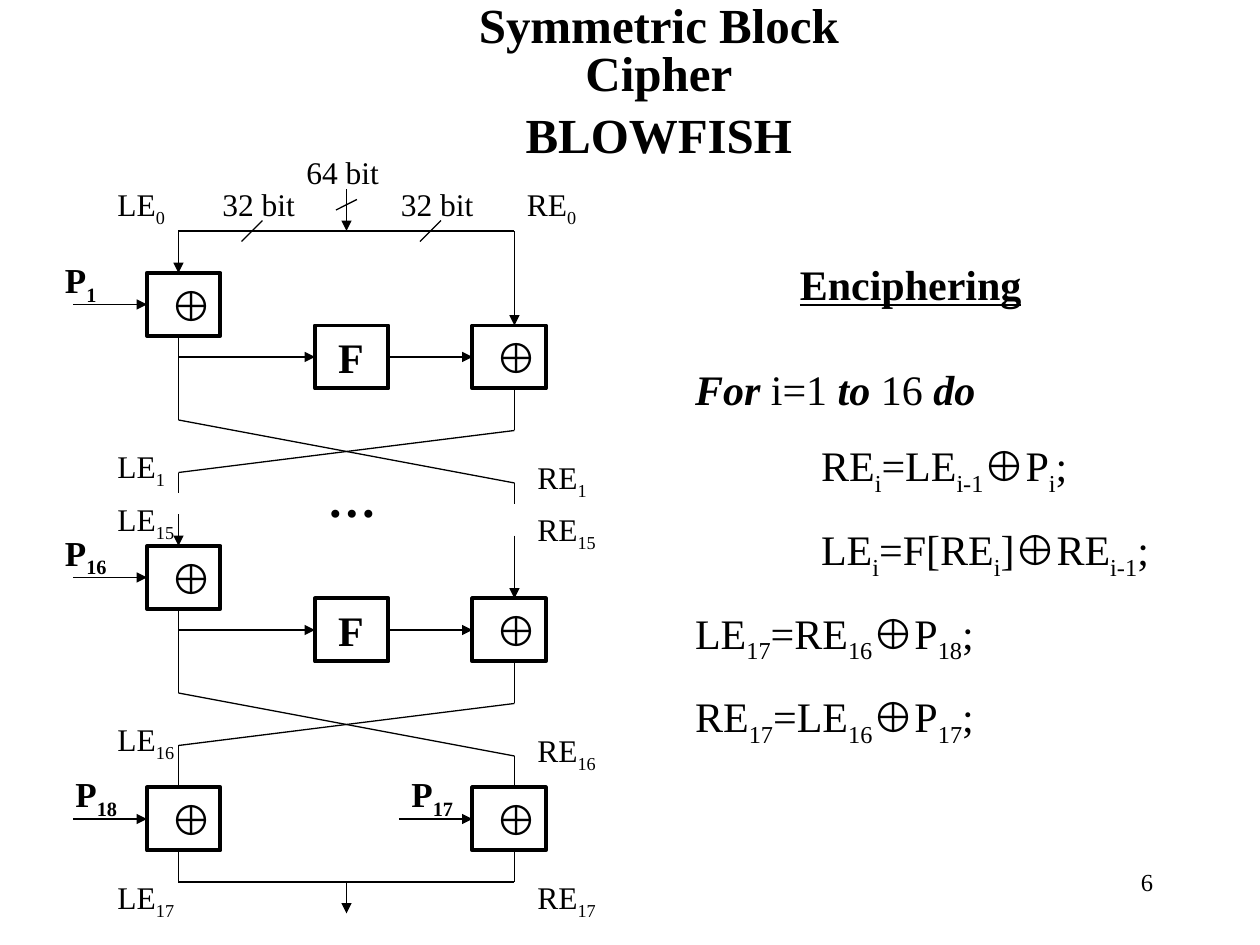
from dataclasses import dataclass
from itertools import groupby

from lxml.etree import SubElement
from pptx import Presentation
from pptx.dml.color import RGBColor
from pptx.enum.shapes import MSO_CONNECTOR, MSO_SHAPE
from pptx.enum.text import MSO_ANCHOR, MSO_AUTO_SIZE, PP_ALIGN
from pptx.oxml.ns import qn
from pptx.util import Pt


@dataclass(frozen=True)
class Theme:
    ink: RGBColor = RGBColor(0, 0, 0)
    font: str = "Times New Roman"
    symbol_font: str = "Arial"
    title: int = 28
    body: int = 24
    key: int = 20
    label: int = 18
    number: int = 14
    box_line: float = 2.25
    wire: float = 0.75


THEME = Theme()
TOP, LEFT, BOTTOM, RIGHT = range(4)
XOR = "⊕"

# Diagram grid, in points
BOX_W, BOX_H = 42, 36
LEFT_BOX, F_BOX, RIGHT_BOX = 84, 180, 270
LEFT_RAIL, MIDDLE, RIGHT_RAIL = 102, 198, 294
INPUT_Y, OUTPUT_Y, FINAL_TOP = 132, 504, 450


def add_run(paragraph, text, size, bold=False, italic=False, subscript=False):
    run = paragraph.add_run()
    run.text = text
    font = run.font
    font.name = THEME.symbol_font if text == XOR else THEME.font
    font.size, font.bold, font.italic = Pt(size), bold, italic
    font.color.rgb = THEME.ink
    if subscript:
        run._r.get_or_add_rPr().set("baseline", "-25000")
    return run


def add_formula(paragraph, markup, size, bold=False):
    """Every second part between bars is a subscript."""
    for index, part in enumerate(markup.split("|")):
        for _, chars in groupby(part, key=lambda char: char == XOR):
            add_run(paragraph, "".join(chars), size, bold, subscript=index % 2 == 1)


def add_label(slide, markup, left, top, width, height, size, bold=False):
    frame = slide.shapes.add_textbox(Pt(left), Pt(top), Pt(width), Pt(height)).text_frame
    frame.word_wrap = True
    add_formula(frame.paragraphs[0], markup, size, bold)
    return frame.paragraphs[0]


def add_box(slide, symbol, left, top):
    box = slide.shapes.add_shape(
        MSO_SHAPE.RECTANGLE, Pt(left), Pt(top), Pt(BOX_W), Pt(BOX_H))
    box.shadow.inherit = False
    box.fill.background()
    box.line.color.rgb = THEME.ink
    box.line.width = Pt(THEME.box_line)
    frame = box.text_frame
    frame.word_wrap = False
    frame.vertical_anchor = MSO_ANCHOR.TOP
    frame.margin_left, frame.margin_right = Pt(13.2), Pt(0)
    frame.paragraphs[0].alignment = PP_ALIGN.LEFT
    add_run(frame.paragraphs[0], symbol, THEME.body, bold=True)
    return box


def add_wire(slide, x1, y1, x2, y2, arrow=False, source=None, target=None):
    wire = slide.shapes.add_connector(
        MSO_CONNECTOR.STRAIGHT, Pt(x1), Pt(y1), Pt(x2), Pt(y2))
    wire.line.color.rgb = THEME.ink
    wire.line.width = Pt(THEME.wire)
    if arrow:
        SubElement(wire.line._get_or_add_ln(), qn("a:tailEnd"), type="triangle")
    SubElement(wire._element.spPr, qn("a:effectLst"))
    if source is not None:
        wire.begin_connect(source, RIGHT)
    if target is not None:
        wire.end_connect(target, LEFT)


def add_keyed_xor(slide, left, top):
    """XOR box with the subkey arrow entering from its left."""
    box = add_box(slide, XOR, left, top)
    y = top + BOX_H / 2
    add_wire(slide, left - BOX_W, y, left, y, arrow=True, target=box)


def add_round(slide, top, feed_left, feed_right, exit_left, exit_right):
    f_top = top + 30
    f_y, swap_y = f_top + BOX_H / 2, top + 84
    add_keyed_xor(slide, LEFT_BOX, top)
    f_box = add_box(slide, "F", F_BOX, f_top)
    right_xor = add_box(slide, XOR, RIGHT_BOX, f_top)
    # Inputs and the F path
    add_wire(slide, LEFT_RAIL, feed_left, LEFT_RAIL, top, arrow=True)
    add_wire(slide, RIGHT_RAIL, feed_right, RIGHT_RAIL, f_top, arrow=True)
    add_wire(slide, LEFT_RAIL, f_y, F_BOX, f_y, arrow=True, target=f_box)
    add_wire(slide, F_BOX + BOX_W, f_y, RIGHT_BOX, f_y, arrow=True,
             source=f_box, target=right_xor)
    # Swap of the halves
    add_wire(slide, LEFT_RAIL, top + BOX_H, LEFT_RAIL, swap_y)
    add_wire(slide, LEFT_RAIL, swap_y, RIGHT_RAIL, swap_y + 36)
    add_wire(slide, RIGHT_RAIL, swap_y + 36, RIGHT_RAIL, exit_right)
    add_wire(slide, RIGHT_RAIL, f_top + BOX_H, RIGHT_RAIL, swap_y + 6)
    add_wire(slide, RIGHT_RAIL, swap_y + 6, LEFT_RAIL, swap_y + 30)
    add_wire(slide, LEFT_RAIL, swap_y + 30, LEFT_RAIL, exit_left)


def add_diagram(slide):
    # Input split into two halves
    add_wire(slide, LEFT_RAIL, INPUT_Y, RIGHT_RAIL, INPUT_Y)
    add_wire(slide, MIDDLE, INPUT_Y - 24, MIDDLE, INPUT_Y, arrow=True)
    for x, y, rise in ((138, 138, 12), (240, 138, 12), (192, 120, 6)):
        add_wire(slide, x + 12, y - rise, x, y)
    # First and last round
    add_round(slide, 156, INPUT_Y, INPUT_Y, 282, 288)
    add_round(slide, 312, 294, 306, FINAL_TOP, FINAL_TOP)
    # Final whitening and output
    for left, rail in ((LEFT_BOX, LEFT_RAIL), (RIGHT_BOX, RIGHT_RAIL)):
        add_keyed_xor(slide, left, FINAL_TOP)
        add_wire(slide, rail, FINAL_TOP + BOX_H, rail, OUTPUT_Y)
    add_wire(slide, LEFT_RAIL, OUTPUT_Y, RIGHT_RAIL, OUTPUT_Y)
    add_wire(slide, MIDDLE, OUTPUT_Y, MIDDLE, OUTPUT_Y + 18, arrow=True)


def add_diagram_labels(slide):
    for markup, left, top, width in (
            ("LE|0", 60, 102, 48), ("RE|0", 294, 102, 48),
            ("LE|1", 60, 252, 48), ("RE|1", 300, 258, 48),
            ("LE|15", 60, 282, 54), ("RE|15", 300, 288, 66),
            ("LE|16", 60, 408, 60), ("RE|16", 300, 414, 60),
            ("LE|17", 60, 498, 60), ("RE|17", 300, 498, 60)):
        add_label(slide, markup, left, top, width, 31.7, THEME.label)
    for bits, left, top in (("64 bit", 168, 84), ("32 bit", 120, 102), ("32 bit", 222, 102)):
        add_label(slide, bits, left, top, 90, 28.8, THEME.label)
    for markup, left, top, width in (
            ("P|1", 30, 144, 36), ("P|16", 30, 300, 48),
            ("P|18", 36, 438, 48), ("P|17", 228, 438, 48)):
        add_label(slide, markup, left, top, width, 34.6, THEME.key, bold=True)
    add_label(slide, "…", 180, 264, 72, 41, THEME.title, bold=True)


def place(placeholder, left, top, width, height):
    placeholder.left, placeholder.top = Pt(left), Pt(top)
    placeholder.width, placeholder.height = Pt(width), Pt(height)
    frame = placeholder.text_frame
    frame.vertical_anchor = MSO_ANCHOR.TOP
    frame.auto_size = MSO_AUTO_SIZE.NONE
    return frame


def next_paragraph(frame, index, space_before):
    paragraph = frame.add_paragraph() if index else frame.paragraphs[0]
    paragraph.space_before = Pt(space_before if index else 0)
    return paragraph


def fill_title(title):
    frame = place(title, 221, 0, 311, 70)
    frame.word_wrap = False
    for index, line in enumerate(("Symmetric Block Cipher", "BLOWFISH")):
        paragraph = next_paragraph(frame, index, 8.8)
        paragraph.alignment = PP_ALIGN.CENTER
        paragraph.line_spacing = 0.8
        add_run(paragraph, line, THEME.title, bold=True)


def fill_algorithm(body):
    frame = place(body, 390, 204, 288, 256)
    steps = (("For |i=1| to |16| do", 0),
             ("RE|i|=LE|i-1|⊕P|i|;", 72),
             ("LE|i|=F[RE|i|]⊕RE|i-1|;", 72),
             ("LE|17|=RE|16|⊕P|18|;", 0),
             ("RE|17|=LE|16|⊕P|17|;", 0))
    for index, (markup, indent) in enumerate(steps):
        paragraph = next_paragraph(frame, index, 15)
        properties = paragraph._p.get_or_add_pPr()
        properties.set("marL", str(Pt(indent)))
        properties.set("indent", "0")
        SubElement(properties, qn("a:buNone"))
        if index:
            add_formula(paragraph, markup, THEME.body)
            continue
        for part, text in enumerate(markup.split("|")):
            keyword = part % 2 == 0
            add_run(paragraph, text, THEME.body, bold=keyword, italic=keyword)


def main():
    deck = Presentation()
    deck.slide_width, deck.slide_height = Pt(720), Pt(540)
    slide = deck.slides.add_slide(deck.slide_layouts[1])
    fill_title(slide.shapes.title)
    add_diagram(slide)
    add_diagram_labels(slide)
    # Algorithm column
    heading = add_label(slide, "Enciphering", 450, 144, 141, 36, THEME.body, bold=True)
    heading.runs[0].font.underline = True
    fill_algorithm(slide.placeholders[1])
    # Slide number
    number = add_label(slide, "6", 516, 492, 150, 36, THEME.number)
    number.alignment = PP_ALIGN.RIGHT
    deck.save("out.pptx")


if __name__ == "__main__":
    main()
